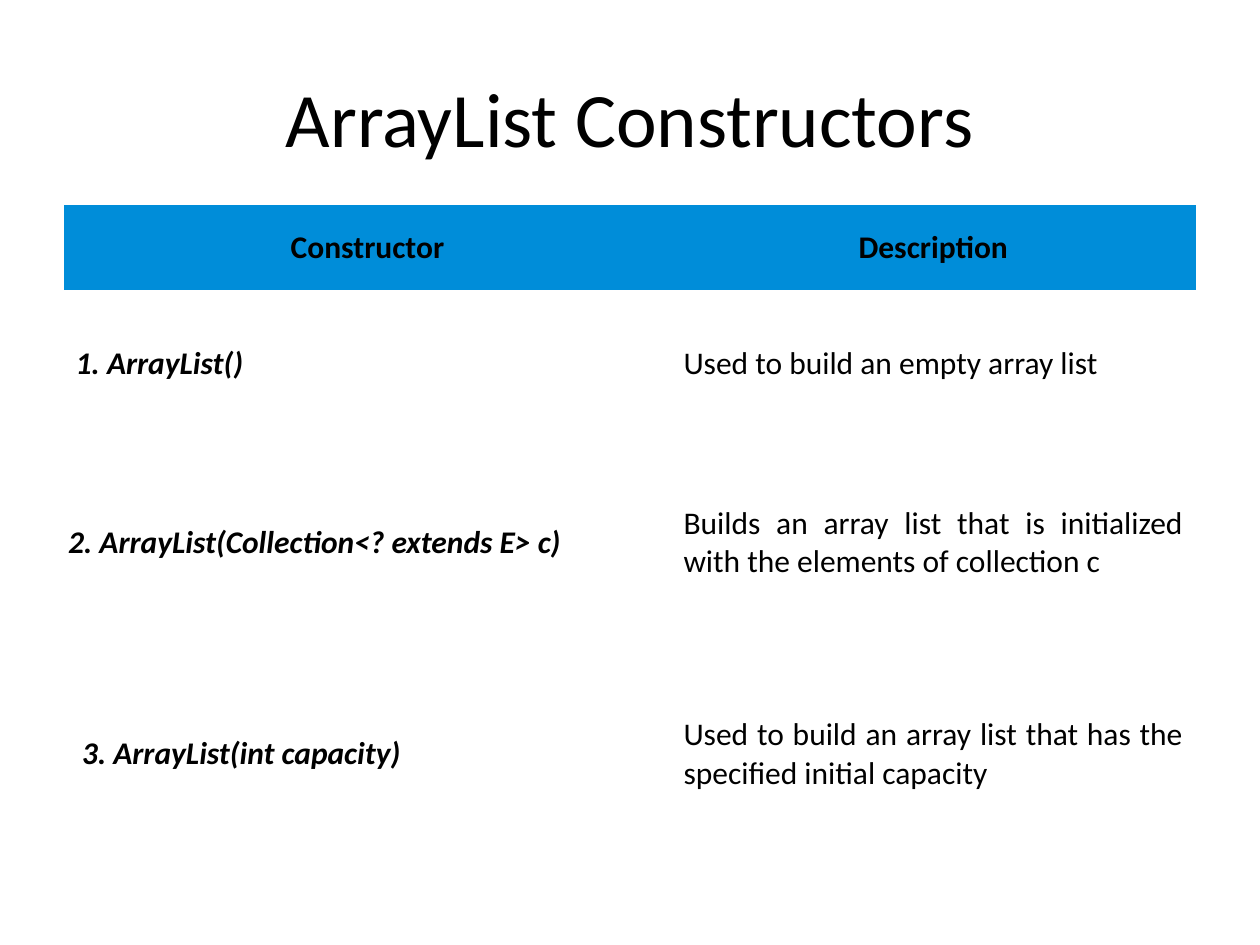
from dataclasses import dataclass

from pptx import Presentation
from pptx.dml.color import RGBColor as RGB
from pptx.enum.text import MSO_ANCHOR as Anchor, PP_ALIGN as Align
from pptx.oxml.ns import qn
from pptx.util import Inches, Pt


@dataclass(frozen=True)
class Theme:
    font: str = "Calibri"
    ink: RGB = RGB(0, 0, 0)
    header_fill: RGB = RGB(0x00, 0x8D, 0xD9)
    title_size: Pt = Pt(44)
    body_size: Pt = Pt(18)


THEME = Theme()
WIDTH, HEIGHT = 10, 7.5
NO_STYLE_NO_GRID = "{2D5ABB26-0587-4C30-8999-92F81FD0307C}"

COLUMN_SHARES = (0.544, 0.456)
ROW_SHARES = (0.13, 0.224, 0.323, 0.323)
HEADERS = ("Constructor", "Description")
# Constructor, its indent in inches, description
CONSTRUCTORS = (
    ("1. ArrayList()", 0.06, "Used to build an empty array list"),
    ("2. ArrayList(Collection<? extends E> c)", 0,
     "Builds an array list that is initialized with the elements of collection c"),
    ("3. ArrayList(int capacity)", 0.11,
     "Used to build an array list that has the specified initial capacity"),
)


def share_box(left, top, width, height):
    """Turn shares of the slide's size into lengths."""
    return (Inches(left * WIDTH), Inches(top * HEIGHT),
            Inches(width * WIDTH), Inches(height * HEIGHT))


def write(tf, text, size, align, bold=False, italic=False):
    p = tf.paragraphs[0]
    p.text = text
    p.alignment = align
    font = p.runs[0].font
    font.name, font.size = THEME.font, size
    font.bold, font.italic = bold, italic
    font.color.rgb = THEME.ink


def add_title(slide, box, text):
    tf = slide.shapes.add_textbox(*box).text_frame
    tf.word_wrap = True
    tf.vertical_anchor = Anchor.MIDDLE
    write(tf, text, THEME.title_size, Align.CENTER)


def fill_cell(cell, text, align, indent=0, fill=None, bold=False, italic=False):
    cell.vertical_anchor = Anchor.MIDDLE
    cell.margin_left = Inches(0.03 + indent)
    cell.margin_right = Inches(0.1)
    cell.margin_top = cell.margin_bottom = Inches(0.05)
    if fill is None:
        cell.fill.background()
    else:
        cell.fill.solid()
        cell.fill.fore_color.rgb = fill
    write(cell.text_frame, text, THEME.body_size, align, bold, italic)


def add_constructor_table(slide, box):
    width, height = box[2:]
    table = slide.shapes.add_table(len(ROW_SHARES), len(COLUMN_SHARES), *box).table
    table.horz_banding = False
    table._tbl.tblPr.find(qn("a:tableStyleId")).text = NO_STYLE_NO_GRID
    for column, share in zip(table.columns, COLUMN_SHARES):
        column.width = int(width * share)
    for row, share in zip(table.rows, ROW_SHARES):
        row.height = int(height * share)

    for c, text in enumerate(HEADERS):
        fill_cell(table.cell(0, c), text, Align.CENTER,
                  fill=THEME.header_fill, bold=True)
    for r, (constructor, indent, description) in enumerate(CONSTRUCTORS, 1):
        fill_cell(table.cell(r, 0), constructor, Align.LEFT, indent,
                  bold=True, italic=True)
        fill_cell(table.cell(r, 1), description, Align.JUSTIFY)


def main():
    prs = Presentation()
    prs.slide_width, prs.slide_height = Inches(WIDTH), Inches(HEIGHT)
    slide = prs.slides.add_slide(prs.slide_layouts[6])
    add_title(slide, share_box(0.05, 0.04, 0.9, 0.167), "ArrayList Constructors")
    add_constructor_table(slide, share_box(0.051, 0.217, 0.898, 0.693))
    prs.save("out.pptx")


if __name__ == "__main__":
    main()
